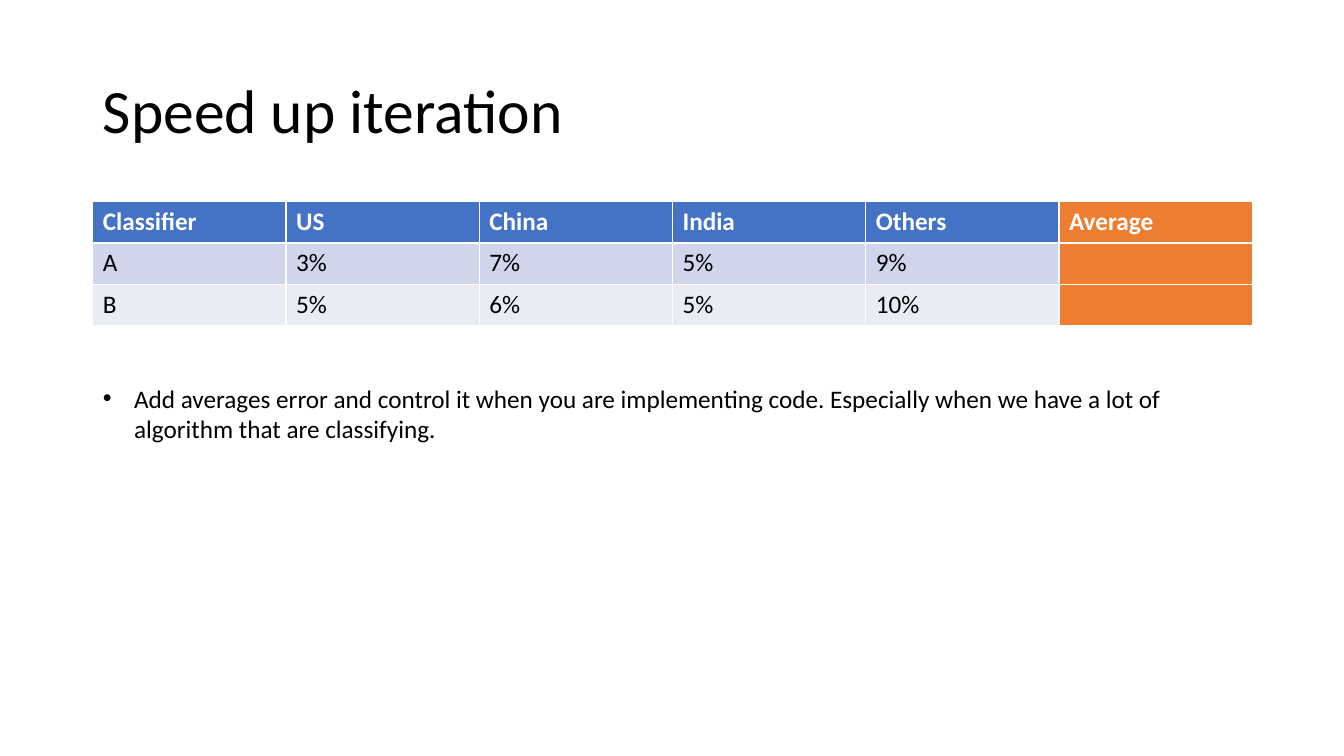
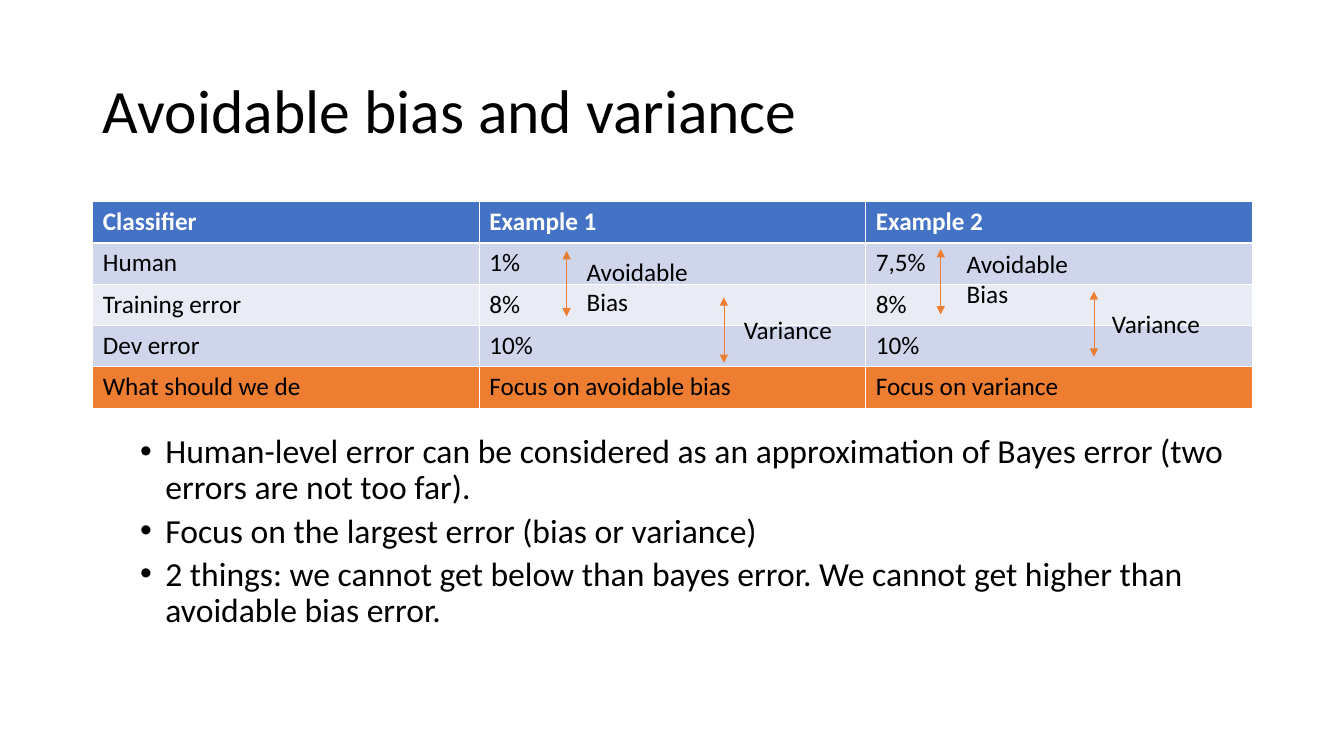
import dataclasses
import typing

import lxml.etree
import pptx
import pptx.dml.color
import pptx.enum.shapes
import pptx.enum.text
import pptx.oxml.ns
import pptx.presentation
import pptx.shapes.base
import pptx.slide
import pptx.text.text
import pptx.util

Inches = pptx.util.Inches
qn = pptx.oxml.ns.qn

FONT = "Calibri"
BLACK, WHITE = "000000", "FFFFFF"
HEADER, ACCENT = "4472C4", "ED7D31"
BANDS = ("CFD5EA", "E9EBF5")
LEFT, WIDTH = 0.92, 11.5
TABLE_TOP, ROW_HEIGHT = 2, 0.41
TITLE_AND_CONTENT = 1


@dataclasses.dataclass(frozen=True)
class Box:
    left: float
    top: float
    width: float
    height: float


@dataclasses.dataclass(frozen=True)
class ListStyle:
    size: float
    level: int
    margin: float
    hanging: float
    line_spacing: float
    space_before: float


@dataclasses.dataclass(frozen=True)
class Gap:
    """A double-headed arrow between two error rates, with its label."""
    label: str
    arrow_x: float
    arrow_top: float
    label_box: Box


TITLE_BOX = Box(LEFT, 0.4, WIDTH, 1.45)
NOTE_STYLE = ListStyle(18, 0, 0.31, 0.31, 1.0, 0)
POINT_STYLE = ListStyle(24, 1, 0.75, 0.25, 0.9, 5)
ARROW_LENGTH = 0.65

ERRORS_BY_COUNTRY = (
    ("Classifier", "US", "China", "India", "Others", "Average"),
    ("A", "3%", "7%", "5%", "9%", ""),
    ("B", "5%", "6%", "5%", "10%", ""),
)
ERRORS_BY_EXAMPLE = (
    ("Classifier", "Example 1", "Example 2"),
    ("Human", "1%", "7,5%"),
    ("Training error", "8%", "8%"),
    ("Dev error", "10%", "10%"),
    ("What should we de", "Focus on avoidable bias", "Focus on variance"),
)
GAPS = (
    Gap("Avoidable Bias", 5.62, 2.49, Box(5.72, 2.49, 1.36, 0.71)),
    Gap("Variance", 7.18, 2.95, Box(7.28, 3.07, 1.36, 0.4)),
    Gap("Avoidable Bias", 9.33, 2.47, Box(9.49, 2.41, 1.36, 0.71)),
    Gap("Variance", 10.85, 2.89, Box(10.93, 3.01, 1.36, 0.4)),
)
ITERATION_NOTES = (
    "Add averages error and control it when you are implementing code. "
    "Especially when we have a lot of algorithm that are classifying.",
)
BIAS_POINTS = (
    "Human-level error can be considered as an approximation of Bayes error "
    "(two errors are not too far).",
    "Focus on the largest error (bias or variance)",
    "2 things: we cannot get below than bayes error. We cannot get higher than "
    "avoidable bias error.",
)


def rgb(color: str) -> pptx.dml.color.RGBColor:
    return pptx.dml.color.RGBColor.from_string(color)


def write_text(paragraph: pptx.text.text._Paragraph, text: str, *, size: float = 18,
               color: str = BLACK, bold: bool = False, line_spacing: float = 1.0,
               space_before: float = 0) -> None:
    paragraph.alignment = pptx.enum.text.PP_ALIGN.LEFT
    paragraph.line_spacing = line_spacing
    paragraph.space_before = pptx.util.Pt(space_before)
    run = paragraph.add_run()
    run.text = text
    run.font.name = FONT
    run.font.size = pptx.util.Pt(size)
    run.font.bold = bold
    run.font.color.rgb = rgb(color)


def place(shape: pptx.shapes.base.BaseShape, box: Box) -> None:
    shape.left, shape.top = Inches(box.left), Inches(box.top)
    shape.width, shape.height = Inches(box.width), Inches(box.height)


def add_titled_slide(deck: pptx.presentation.Presentation, title: str) -> pptx.slide.Slide:
    slide = deck.slides.add_slide(deck.slide_layouts[TITLE_AND_CONTENT])
    heading = slide.shapes.title
    place(heading, TITLE_BOX)
    frame = heading.text_frame
    frame.auto_size = pptx.enum.text.MSO_AUTO_SIZE.NONE
    frame.vertical_anchor = pptx.enum.text.MSO_ANCHOR.MIDDLE
    write_text(frame.paragraphs[0], title, size=44, line_spacing=0.9)
    return slide


def add_bullet(paragraph: pptx.text.text._Paragraph, margin: float, hanging: float) -> None:
    properties = paragraph._p.get_or_add_pPr()
    properties.set("marL", str(Inches(margin)))
    properties.set("indent", str(-Inches(hanging)))
    lxml.etree.SubElement(properties, qn("a:buFont"), typeface="Arial")
    lxml.etree.SubElement(properties, qn("a:buChar"), char="•")


def fill_list(slide: pptx.slide.Slide, items: typing.Sequence[str], box: Box,
              style: ListStyle) -> None:
    body = slide.placeholders[1]
    place(body, box)
    frame = body.text_frame
    frame.auto_size = pptx.enum.text.MSO_AUTO_SIZE.NONE
    for index, item in enumerate(items):
        paragraph = frame.add_paragraph() if index else frame.paragraphs[0]
        paragraph.level = style.level
        write_text(paragraph, item, size=style.size, line_spacing=style.line_spacing,
                   space_before=style.space_before)
        add_bullet(paragraph, style.margin, style.hanging)


def add_error_table(slide: pptx.slide.Slide, rows: typing.Sequence[typing.Sequence[str]], *,
                    accent_row: int | None = None, accent_column: int | None = None) -> None:
    """Add a banded table whose accent row or column is orange."""
    table = slide.shapes.add_table(
        len(rows), len(rows[0]), Inches(LEFT), Inches(TABLE_TOP), Inches(WIDTH),
        Inches(ROW_HEIGHT * len(rows))).table
    for r, row in enumerate(rows):
        is_header = r == 0
        row_fill = HEADER if is_header else BANDS[(r - 1) % len(BANDS)]
        for c, text in enumerate(row):
            cell = table.cell(r, c)
            cell.fill.solid()
            is_accent = r == accent_row or c == accent_column
            cell.fill.fore_color.rgb = rgb(ACCENT if is_accent else row_fill)
            if text:
                write_text(cell.text_frame.paragraphs[0], text, bold=is_header,
                           color=WHITE if is_header else BLACK)


def add_gap(slide: pptx.slide.Slide, gap: Gap) -> None:
    x = Inches(gap.arrow_x)
    arrow = slide.shapes.add_connector(
        pptx.enum.shapes.MSO_CONNECTOR.STRAIGHT, x, Inches(gap.arrow_top),
        x, Inches(gap.arrow_top + ARROW_LENGTH))
    arrow.line.color.rgb = rgb(ACCENT)
    arrow.line.width = pptx.util.Pt(0.5)
    outline = arrow.line._get_or_add_ln()
    for end in ("a:headEnd", "a:tailEnd"):
        lxml.etree.SubElement(outline, qn(end), type="triangle")
    lxml.etree.SubElement(arrow._element.spPr, qn("a:effectLst"))

    box = gap.label_box
    label = slide.shapes.add_textbox(Inches(box.left), Inches(box.top),
                                     Inches(box.width), Inches(box.height))
    label.text_frame.word_wrap = True
    write_text(label.text_frame.paragraphs[0], gap.label)


def add_iteration_slide(deck: pptx.presentation.Presentation) -> None:
    slide = add_titled_slide(deck, "Speed up iteration")
    add_error_table(slide, ERRORS_BY_COUNTRY, accent_column=len(ERRORS_BY_COUNTRY[0]) - 1)
    fill_list(slide, ITERATION_NOTES, Box(LEFT, 3.75, WIDTH, 0.71), NOTE_STYLE)


def add_bias_slide(deck: pptx.presentation.Presentation) -> None:
    slide = add_titled_slide(deck, "Avoidable bias and variance")
    add_error_table(slide, ERRORS_BY_EXAMPLE, accent_row=len(ERRORS_BY_EXAMPLE) - 1)
    for gap in GAPS:
        add_gap(slide, gap)
    fill_list(slide, BIAS_POINTS, Box(0.79, 4.26, WIDTH, 2.94), POINT_STYLE)


def main() -> None:
    deck = pptx.Presentation()
    deck.slide_width, deck.slide_height = Inches(13.33), Inches(7.5)
    add_iteration_slide(deck)
    add_bias_slide(deck)
    deck.save("out.pptx")


if __name__ == "__main__":
    main()
